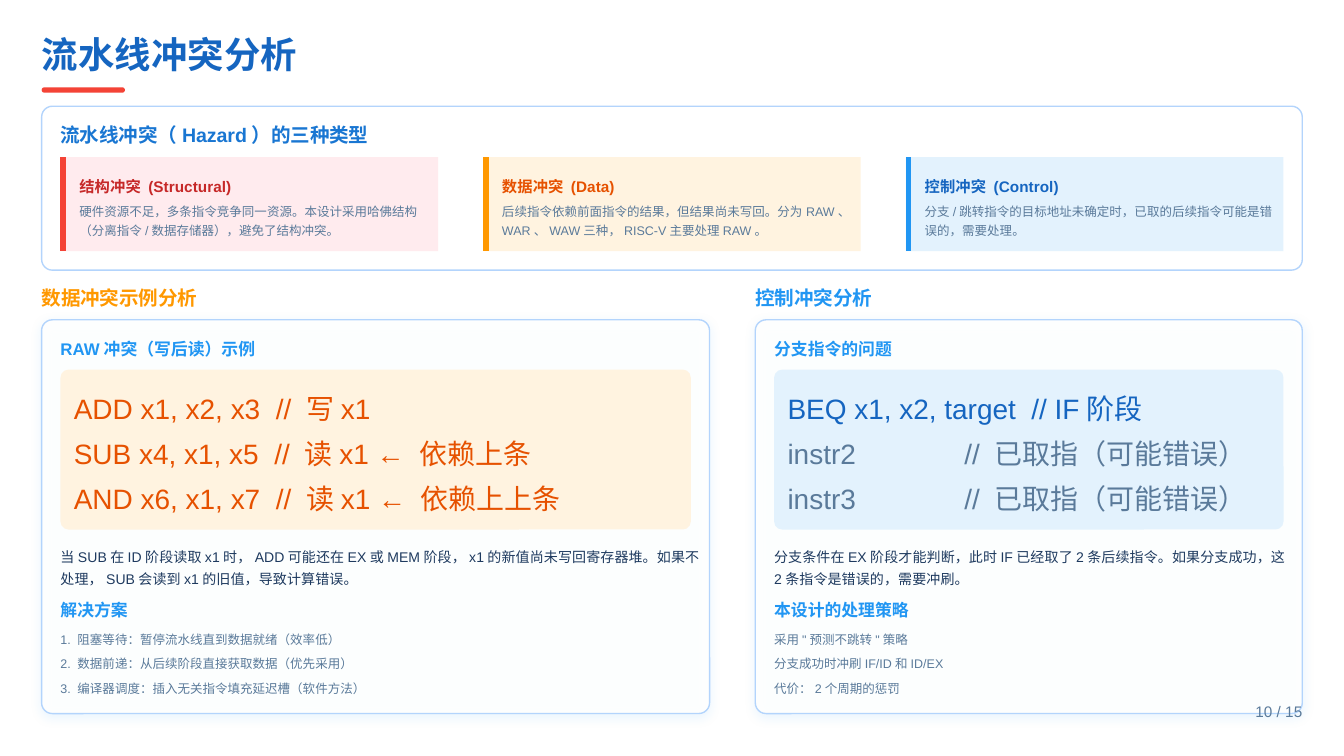
from dataclasses import dataclass

from pptx import Presentation
from pptx.dml.color import RGBColor
from pptx.enum.shapes import MSO_CONNECTOR, MSO_SHAPE
from pptx.oxml import parse_xml
from pptx.oxml.ns import nsdecls, qn
from pptx.oxml.xmlchemy import OxmlElement
from pptx.util import Inches, Pt

RECTANGLE = MSO_SHAPE.RECTANGLE
ROUNDED = MSO_SHAPE.ROUNDED_RECTANGLE
STRAIGHT = MSO_CONNECTOR.STRAIGHT


@dataclass(frozen=True)
class Theme:
    font: str = "Arial"
    white: str = "FFFFFF"
    border: str = "B3D4FC"
    navy: str = "1565C0"
    title_blue: str = "1976D2"
    blue: str = "2196F3"
    pale_blue: str = "E3F2FD"
    red: str = "F44336"
    dark_red: str = "C62828"
    pale_red: str = "FFEBEE"
    orange: str = "FF9800"
    dark_orange: str = "E65100"
    pale_orange: str = "FFF3E0"
    ink: str = "1E3A5F"
    muted: str = "5A7A9A"
    title_size: float = 19.5
    code_size: float = 15
    section_size: float = 10.5
    heading_size: float = 9
    label_size: float = 8.25
    body_size: float = 7.5
    small_size: float = 6.75


THEME = Theme()
RADIUS = 0.08
PADDING = 0.14


def add_text(page, left, top, width, height, text, size, color, spacing,
             bold=False, after=0, wrap=True):
    box = page.shapes.add_textbox(Inches(left), Inches(top), Inches(width), Inches(height))
    frame = box.text_frame
    frame.word_wrap = wrap
    frame.margin_left = frame.margin_right = frame.margin_top = frame.margin_bottom = 0
    para = frame.paragraphs[0]
    para.line_spacing = Pt(spacing)
    para.space_after = Pt(after)
    span = para.add_run()
    span.text = text
    span.font.name = THEME.font
    span.font.size = Pt(size)
    span.font.bold = bold
    span.font.color.rgb = RGBColor.from_string(color)


def add_block(page, left, top, width, height, fill, radius=0, border=None):
    block = page.shapes.add_shape(ROUNDED if radius else RECTANGLE, Inches(left),
                                  Inches(top), Inches(width), Inches(height))
    if radius:
        block.adjustments[0] = radius / min(width, height)
    block.shadow.inherit = False
    block.fill.solid()
    block.fill.fore_color.rgb = RGBColor.from_string(fill)
    if border:
        block.line.color.rgb = RGBColor.from_string(border)
        block.line.width = Pt(0.75)
    else:
        block.line.fill.background()
    return block


def soften(block):
    """Make the fill slightly transparent and add a faint blue shadow."""
    properties = block.element.spPr
    alpha = OxmlElement("a:alpha")
    alpha.set("val", "90000")
    properties.find(qn("a:solidFill"))[0].append(alpha)
    properties.find(qn("a:effectLst")).append(parse_xml(
        f'<a:outerShdw {nsdecls("a")} blurRad="{Pt(6)}" dist="{Pt(1.5)}" dir="5400000"'
        f' algn="ctr" rotWithShape="0"><a:srgbClr val="{THEME.blue}">'
        '<a:alpha val="10000"/></a:srgbClr></a:outerShdw>'))


def add_header(page, left, top, title):
    add_text(page, left, top, 4.79, 0.27, title, THEME.title_size, THEME.navy, 19.5, bold=True)
    add_block(page, left, top + 0.36, 0.62, 0.04, THEME.red, radius=0.02)


def add_hazard_type(page, left, top, width, height, name, text, accent, dark, pale):
    add_block(page, left, top, width, height, pale)
    edge = left + 0.02
    bar = page.shapes.add_connector(STRAIGHT, Inches(edge), Inches(top),
                                    Inches(edge), Inches(top + height))
    bar.line.color.rgb = RGBColor.from_string(accent)
    bar.line.width = Pt(3)
    bar.element.spPr.append(OxmlElement("a:effectLst"))
    add_text(page, left + 0.14, top + 0.11, width - 0.2, 0.17, name,
             THEME.label_size, dark, 12.4, bold=True, after=3)
    add_text(page, left + 0.14, top + 0.32, width - 0.2, 0.28, text,
             THEME.small_size, THEME.muted, 10.2)


def add_overview(page, left, top, width, height, heading, types):
    add_block(page, left, top, width, height, THEME.white, RADIUS, THEME.border)
    inner = left + PADDING
    add_text(page, inner, top + 0.14, 4.65, 0.16, heading, THEME.section_size,
             THEME.title_blue, 11.7, bold=True, after=6)
    card_width = 2.81
    pitch = (width - 2 * PADDING - card_width) / (len(types) - 1)
    for index, hazard in enumerate(types):
        add_hazard_type(page, inner + index * pitch, top + 0.38, card_width, 0.7, *hazard)


def add_analysis(page, left, top, width, height, section, color, heading, code_fill,
                 code, text, answer, points):
    """Section title above a card with code, an explanation and a list."""
    add_text(page, left, top, width / 1.955, 0.16, section, THEME.section_size, color,
             11.7, bold=True)
    card_top = top + 0.24
    soften(add_block(page, left, card_top, width, height - 0.24, THEME.white,
                     RADIUS, THEME.border))
    inner = left + PADDING
    inner_width = width - 2 * PADDING
    text_width = inner_width * 1.02

    def add_heading(offset, words, after):
        add_text(page, inner, card_top + offset, text_width, 0.15, words,
                 THEME.heading_size, THEME.blue, 10.8, bold=True, after=after)

    add_heading(0.14, heading, 6)
    add_block(page, inner, card_top + 0.37, inner_width, 1.19, code_fill, radius=0.06)
    for index, (line, line_color) in enumerate(code):
        add_text(page, inner + 0.1, card_top + 0.47 + index * 0.335, inner_width - 0.13,
                 0.31, line, THEME.code_size, line_color, 22.5)
    add_text(page, inner, card_top + 1.66, text_width, 0.33, text,
             THEME.body_size, THEME.ink, 12, after=6)
    add_heading(2.08, answer, 4.5)
    for index, point in enumerate(points):
        add_text(page, inner, card_top + 2.29 + index * 0.185, text_width, 0.14, point,
                 THEME.small_size, THEME.muted, 10.2)


def main():
    deck = Presentation()
    deck.slide_width = Inches(10)
    deck.slide_height = deck.slide_width * 9 // 16
    page = deck.slides.add_slide(deck.slide_layouts[6])
    margin = 0.31

    add_header(page, margin, 0.29, "流水线冲突分析")
    add_overview(page, margin, 0.79, 9.38, 1.22, "流水线冲突（Hazard）的三种类型", [
        ("结构冲突 (Structural)",
         "硬件资源不足，多条指令竞争同一资源。本设计采用哈佛结构（分离指令/数据存储器），避免了结构冲突。",
         THEME.red, THEME.dark_red, THEME.pale_red),
        ("数据冲突 (Data)",
         "后续指令依赖前面指令的结果，但结果尚未写回。分为RAW、WAR、WAW三种，RISC-V主要处理RAW。",
         THEME.orange, THEME.dark_orange, THEME.pale_orange),
        ("控制冲突 (Control)",
         "分支/跳转指令的目标地址未确定时，已取的后续指令可能是错误的，需要处理。",
         THEME.blue, THEME.navy, THEME.pale_blue),
    ])
    add_analysis(
        page, margin, 2.14, 4.97, 3.17, "数据冲突示例分析", THEME.orange,
        "RAW冲突（写后读）示例", THEME.pale_orange,
        [("ADD x1, x2, x3  // 写x1", THEME.dark_orange),
         ("SUB x4, x1, x5  // 读x1 ← 依赖上条", THEME.dark_orange),
         ("AND x6, x1, x7  // 读x1 ← 依赖上上条", THEME.dark_orange)],
        "当SUB在ID阶段读取x1时，ADD可能还在EX或MEM阶段，x1的新值尚未写回寄存器堆。"
        "如果不处理，SUB会读到x1的旧值，导致计算错误。",
        "解决方案",
        ["1. 阻塞等待：暂停流水线直到数据就绪（效率低）",
         "2. 数据前递：从后续阶段直接获取数据（优先采用）",
         "3. 编译器调度：插入无关指令填充延迟槽（软件方法）"])
    add_analysis(
        page, 5.62, 2.14, 4.07, 3.17, "控制冲突分析", THEME.blue,
        "分支指令的问题", THEME.pale_blue,
        [("BEQ x1, x2, target  // IF阶段", THEME.navy),
         ("instr2              // 已取指（可能错误）", THEME.muted),
         ("instr3              // 已取指（可能错误）", THEME.muted)],
        "分支条件在EX阶段才能判断，此时IF已经取了2条后续指令。"
        "如果分支成功，这2条指令是错误的，需要冲刷。",
        "本设计的处理策略",
        ['采用"预测不跳转"策略', "分支成功时冲刷IF/ID和ID/EX", "代价：2个周期的惩罚"])
    add_text(page, 9.34, 5.19, 0.36, 0.17, "10 / 15", THEME.label_size, THEME.muted,
             12.4, wrap=False)
    deck.save("out.pptx")


if __name__ == "__main__":
    main()
